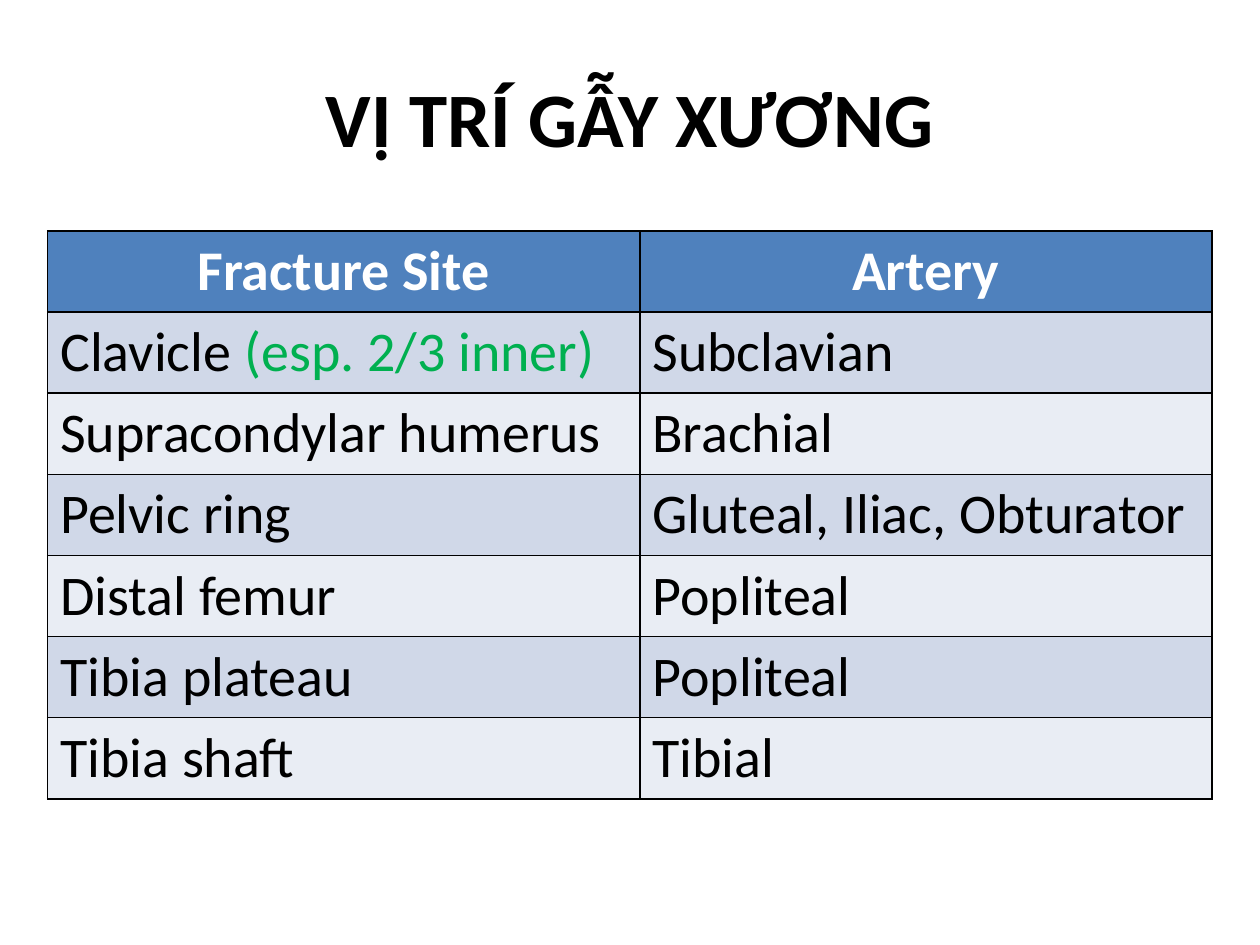
"""Build a slide with a table of fracture sites and the arteries at risk."""
import pptx
import pptx.dml.color
import pptx.enum.text
import pptx.oxml
import pptx.oxml.ns
import pptx.util

Pt = pptx.util.Pt
CENTER = pptx.enum.text.PP_ALIGN.CENTER
MIDDLE = pptx.enum.text.MSO_ANCHOR.MIDDLE

COLORS = {
    "text": "000000",
    "header_text": "FFFFFF",
    "note": "00B050",
    "header": "4F81BD",
    "odd": "D0D8E8",
    "even": "E9EDF4",
    "border": "000000",
}
FONT = "Calibri"
TITLE = "VỊ TRÍ GẪY XƯƠNG"
HEADER = ("Fracture Site", "Artery")
ROWS = [
    ("Clavicle ", "Subclavian"),
    ("Supracondylar humerus", "Brachial"),
    ("Pelvic ring", "Gluteal, Iliac, Obturator"),
    ("Distal femur", "Popliteal"),
    ("Tibia plateau", "Popliteal"),
    ("Tibia shaft", "Tibial"),
]
CLAVICLE_NOTE = "(esp. 2/3 inner)"
TABLE_LEFT, TABLE_TOP = 27.2, 132
COLUMN_WIDTHS = (338.4, 326.9)
ROW_HEIGHT = 46.3


def rgb(name):
    return pptx.dml.color.RGBColor.from_string(COLORS[name])


def format_span(span, size, color, bold):
    span.font.name = FONT
    span.font.size = Pt(size)
    span.font.bold = bold
    span.font.color.rgb = rgb(color)


def add_borders(cell):
    properties = cell._tc.get_or_add_tcPr()
    for side in ("lnL", "lnR", "lnT", "lnB"):
        properties.append(pptx.oxml.parse_xml(
            f'<a:{side} {pptx.oxml.ns.nsdecls("a")} w="{Pt(1)}"><a:solidFill>'
            f'<a:srgbClr val="{COLORS["border"]}"/></a:solidFill></a:{side}>'
        ))


def add_title(page):
    box = page.shapes.title
    box.left, box.top, box.width, box.height = Pt(36), Pt(21.6), Pt(648), Pt(90)
    box.text_frame.text = TITLE
    box.text_frame.vertical_anchor = MIDDLE
    para = box.text_frame.paragraphs[0]
    para.alignment = CENTER
    format_span(para.runs[0], 44, "text", True)


def add_fracture_table(page):
    lines = [HEADER, *ROWS]
    table = page.shapes.add_table(
        len(lines), len(HEADER), Pt(TABLE_LEFT), Pt(TABLE_TOP),
        Pt(sum(COLUMN_WIDTHS)), Pt(ROW_HEIGHT * len(lines)),
    ).table
    for column, width in zip(table.columns, COLUMN_WIDTHS):
        column.width = Pt(width)
    for number, line in enumerate(lines):
        table.rows[number].height = Pt(ROW_HEIGHT)
        is_header = number == 0
        fill = "header" if is_header else "odd" if number % 2 else "even"
        for position, words in enumerate(line):
            cell = table.cell(number, position)
            add_borders(cell)
            cell.fill.solid()
            cell.fill.fore_color.rgb = rgb(fill)
            para = cell.text_frame.paragraphs[0]
            para.text = words
            if is_header:
                para.alignment = CENTER
            color = "header_text" if is_header else "text"
            format_span(para.runs[0], 32, color, is_header)
    note = table.cell(1, 0).text_frame.paragraphs[0].add_run()
    note.text = CLAVICLE_NOTE
    format_span(note, 32, "note", False)


def main():
    deck = pptx.Presentation()
    deck.slide_width, deck.slide_height = Pt(720), Pt(540)
    page = deck.slides.add_slide(deck.slide_layouts[5])
    add_title(page)
    add_fracture_table(page)
    deck.save("out.pptx")


if __name__ == "__main__":
    main()
